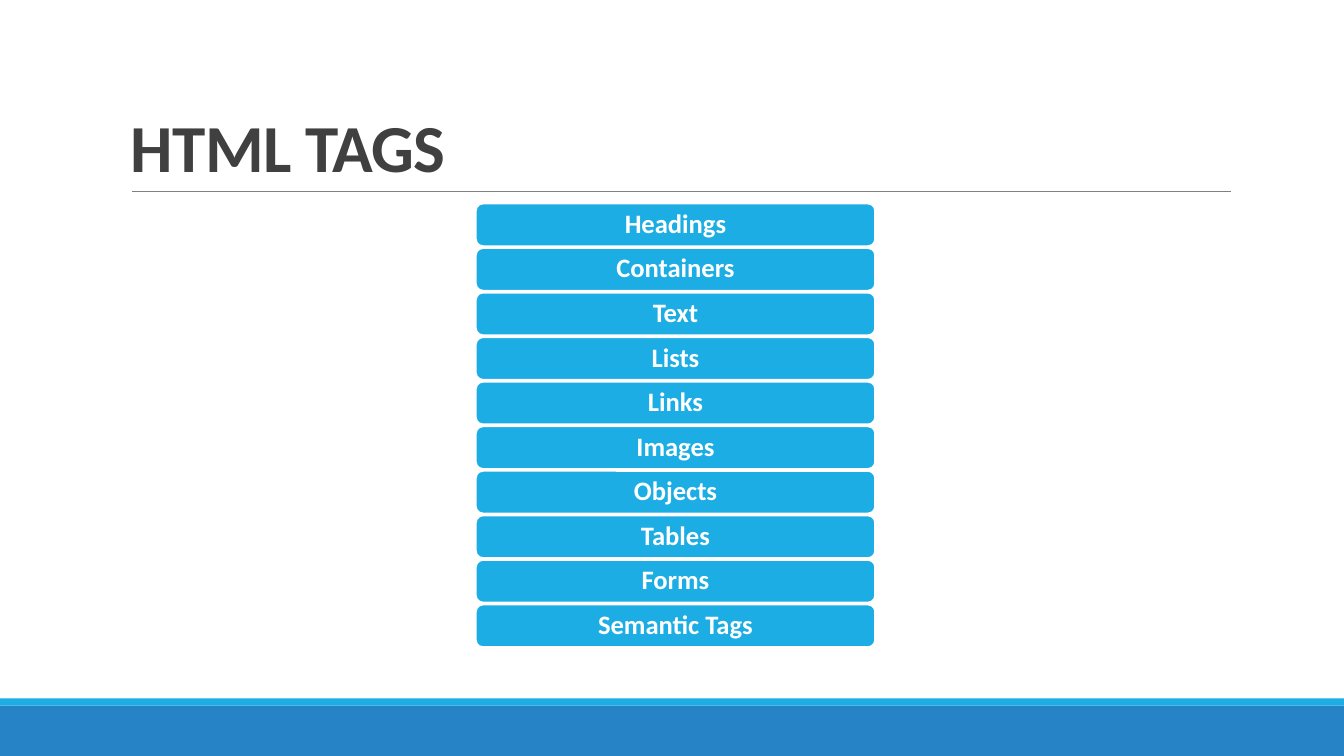
from lxml import etree
from pptx import Presentation
from pptx.dml.color import RGBColor
from pptx.enum.shapes import MSO_CONNECTOR as CONN, MSO_SHAPE as SHAPE
from pptx.enum.text import MSO_ANCHOR as ANCHOR, PP_ALIGN as ALIGN
from pptx.oxml.ns import qn
from pptx.util import Inches, Pt

WHITE = RGBColor(0xFF, 0xFF, 0xFF)
CYAN = RGBColor(0x1C, 0xAD, 0xE4)
BLUE = RGBColor(0x26, 0x83, 0xC6)
GRAY = RGBColor(0x80, 0x80, 0x80)
DARK = RGBColor(0x40, 0x40, 0x40)

WIDTH, HEIGHT = 13.33, 7.5
TAGS = ["Headings", "Containers", "Text", "Lists", "Links",
        "Images", "Objects", "Tables", "Forms", "Semantic Tags"]


def put_text(sp, text, size, color, align=ALIGN.LEFT, anchor=ANCHOR.MIDDLE,
             line_spacing=0.9, tracking=0, insets=(0.1, 0.05)):
    tf = sp.text_frame
    tf.word_wrap = True
    tf.vertical_anchor = anchor
    tf.margin_left = tf.margin_right = Inches(insets[0])
    tf.margin_top = tf.margin_bottom = Inches(insets[1])
    p = tf.paragraphs[0]
    p.alignment = align
    p.line_spacing = line_spacing
    r = p.add_run()
    r.text = text
    r.font.name = "Calibri"
    r.font.size = Pt(size)
    r.font.bold = True
    r.font.color.rgb = color
    if tracking:
        r.font._element.set("spc", str(int(tracking * 100)))


def add_block(s, kind, x, y, w, h, fill, line=None):
    sp = s.shapes.add_shape(kind, Inches(x), Inches(y), Inches(w), Inches(h))
    sp.shadow.inherit = False
    sp.fill.solid()
    sp.fill.fore_color.rgb = fill
    if line is None:
        sp.line.fill.background()
    else:
        sp.line.color.rgb = line
        sp.line.width = Pt(1.25)
    return sp


def add_footer(s, x, y, w, h, stripe=0.07):
    add_block(s, SHAPE.RECTANGLE, x, y + stripe, w, h - stripe, BLUE)
    add_block(s, SHAPE.RECTANGLE, x, y, w, stripe, CYAN)


def add_title(s, text, x, y, w, h):
    rule_x, rule_y = x + 0.11, y + h
    rule = s.shapes.add_connector(CONN.STRAIGHT, Inches(rule_x), Inches(rule_y),
                                  Inches(rule_x + 10.9), Inches(rule_y))
    rule.line.color.rgb = GRAY
    rule.line.width = Pt(0.5)
    etree.SubElement(rule._element.spPr, qn("a:effectLst"))
    box = s.shapes.add_textbox(Inches(x), Inches(y), Inches(w), Inches(h))
    put_text(box, text, 48, DARK, anchor=ANCHOR.BOTTOM,
             line_spacing=0.85, tracking=-0.5)


def add_tag_list(s, tags, x, y, w, h, gap=0.02):
    pitch = (h + gap) / len(tags)
    for i, tag in enumerate(tags):
        sp = add_block(s, SHAPE.ROUNDED_RECTANGLE, x, y + i * pitch,
                       w, pitch - gap, CYAN, WHITE)
        put_text(sp, tag, 19, WHITE, align=ALIGN.CENTER, insets=(0.08, 0.04))


def main():
    prs = Presentation()
    prs.slide_width, prs.slide_height = Inches(WIDTH), Inches(HEIGHT)
    s = prs.slides.add_slide(prs.slide_layouts[6])
    add_footer(s, 0, 6.93, WIDTH, 0.57)
    add_title(s, "HTML TAGS", 1.2, 0.31, 11, 1.59)
    add_tag_list(s, TAGS, 4.72, 2.02, 3.96, 4.4)
    prs.save("out.pptx")


if __name__ == "__main__":
    main()
